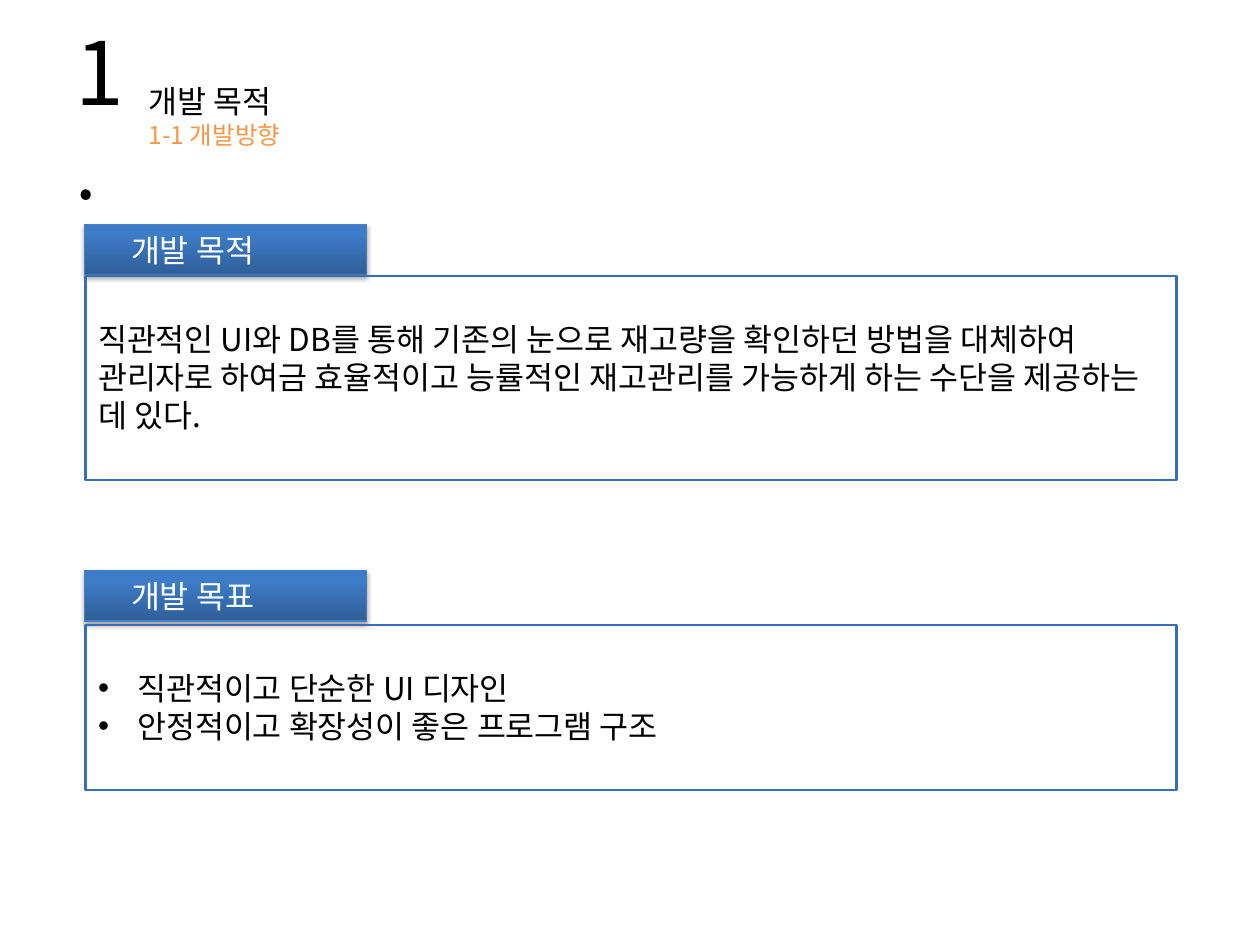
from copy import deepcopy

from lxml.etree import SubElement
from pptx import Presentation
from pptx.dml.color import RGBColor
from pptx.enum.shapes import MSO_SHAPE as Shape
from pptx.enum.text import MSO_ANCHOR as Anchor, MSO_AUTO_SIZE as AutoSize, PP_ALIGN as Align
from pptx.oxml.ns import qn
from pptx.util import Inches, Pt

FONT = "Noto Sans CJK KR"
BLACK = RGBColor(0x00, 0x00, 0x00)
WHITE = RGBColor(0xFF, 0xFF, 0xFF)
ORANGE = RGBColor(0xF7, 0x96, 0x46)
FRAME_BLUE = RGBColor(0x36, 0x6F, 0xB5)
TAB_LINE = RGBColor(0x4B, 0x7E, 0xBC)
TAB_STOPS = [
    (0, RGBColor(0x2F, 0x5F, 0x99)),
    (0.8, RGBColor(0x3D, 0x7C, 0xC7)),
    (1, RGBColor(0x3A, 0x7C, 0xCB)),
]
LEFT, TAB_WIDTH, TAB_HEIGHT, PANEL_WIDTH = 0.67, 2.24, 0.4, 8.66
TEXT_SIZE = 18


def place(shape, left, top, width, height):
    shape.left, shape.top = Inches(left), Inches(top)
    shape.width, shape.height = Inches(width), Inches(height)


def set_frame(box, anchor, left_inset=0.1, top_inset=0.05):
    frame = box.text_frame
    frame.word_wrap = True
    frame.auto_size = AutoSize.NONE
    frame.vertical_anchor = anchor
    frame.margin_left, frame.margin_top = Inches(left_inset), Inches(top_inset)
    return frame


def add_span(para, text, size, color):
    para.alignment = Align.LEFT
    span = para.add_run()
    span.text = text
    span.font.size = Pt(size)
    span.font.name = FONT
    span.font.color.rgb = color
    SubElement(span.font._element, qn("a:ea"), typeface=FONT)


def add_bullet(para):
    properties = para._p.get_or_add_pPr()
    properties.set("marL", str(Inches(0.31)))
    properties.set("indent", str(Inches(-0.31)))
    SubElement(properties, qn("a:buFont"), typeface="Arial")
    SubElement(properties, qn("a:buChar"), char="•")


def fill_gradient(shape):
    shape.fill.gradient()
    shape.fill.gradient_angle = 90
    stop_list = shape.fill.gradient_stops[0]._gs.getparent()
    stop_list.append(deepcopy(stop_list[0]))
    for stop, (position, color) in zip(shape.fill.gradient_stops, TAB_STOPS):
        stop.position = position
        stop.color.rgb = color


def add_shadow(shape):
    shape.shadow.inherit = False
    effects = shape._element.spPr.find(qn("a:effectLst"))
    shadow = SubElement(effects, qn("a:outerShdw"), blurRad=str(Pt(3.1)),
                        dist=str(Pt(1.8)), dir="5400000", rotWithShape="0")
    color = SubElement(shadow, qn("a:srgbClr"), val=str(BLACK))
    SubElement(color, qn("a:alpha"), val="35000")


def add_heading(page):
    title = page.shapes.title
    place(title, 0.5, 0.3, 0.64, 1.25)
    para = set_frame(title, Anchor.MIDDLE).paragraphs[0]
    add_span(para, "1", 50, BLACK)
    add_span(para, ".", 44, BLACK)

    box = page.shapes.add_textbox(0, 0, 0, 0)
    place(box, 1.02, 0.6, 2.48, 0.71)
    frame = set_frame(box, Anchor.TOP, left_inset=0.16)
    add_span(frame.paragraphs[0], "개발 목적", TEXT_SIZE, BLACK)
    add_span(frame.add_paragraph(), "1-1 개발방향", 14, ORANGE)


def add_section(page, label, lines, tab_top, panel_top, panel_height, bulleted=False):
    group = page.shapes.add_group_shape()

    tab = group.shapes.add_shape(Shape.RECTANGLE, 0, 0, 0, 0)
    place(tab, LEFT, tab_top, TAB_WIDTH, TAB_HEIGHT)
    fill_gradient(tab)
    tab.line.color.rgb = TAB_LINE
    tab.line.width = Pt(0.75)
    add_shadow(tab)
    frame = set_frame(tab, Anchor.MIDDLE, left_inset=0.37)
    add_span(frame.paragraphs[0], label, TEXT_SIZE, WHITE)

    panel = group.shapes.add_shape(Shape.RECTANGLE, 0, 0, 0, 0)
    place(panel, LEFT + 0.01, panel_top, PANEL_WIDTH, panel_height)
    panel.fill.background()
    panel.line.color.rgb = FRAME_BLUE
    panel.line.width = Pt(1.5)
    panel.shadow.inherit = False
    frame = set_frame(panel, Anchor.TOP, top_inset=0.35)
    for index, line in enumerate(lines):
        para = frame.add_paragraph() if index else frame.paragraphs[0]
        if bulleted:
            add_bullet(para)
        add_span(para, line, TEXT_SIZE, BLACK)


def main():
    deck = Presentation()
    deck.slide_width, deck.slide_height = Inches(10), Inches(7.5)
    page = deck.slides.add_slide(deck.slide_layouts[5])
    add_heading(page)
    add_section(page, "개발 목표",
                ["직관적이고 단순한 UI 디자인", "안정적이고 확장성이 좋은 프로그램 구조"],
                4.53, 4.96, 1.31, bulleted=True)
    add_section(page, "개발 목적",
                ["직관적인 UI와 DB를 통해 기존의 눈으로 재고량을 확인하던 방법을 대체하여 "
                 "관리자로 하여금 효율적이고 능률적인 재고관리를 가능하게 하는 수단을 "
                 "제공하는 데 있다."],
                1.78, 2.19, 1.62)
    deck.save("out.pptx")


if __name__ == "__main__":
    main()
